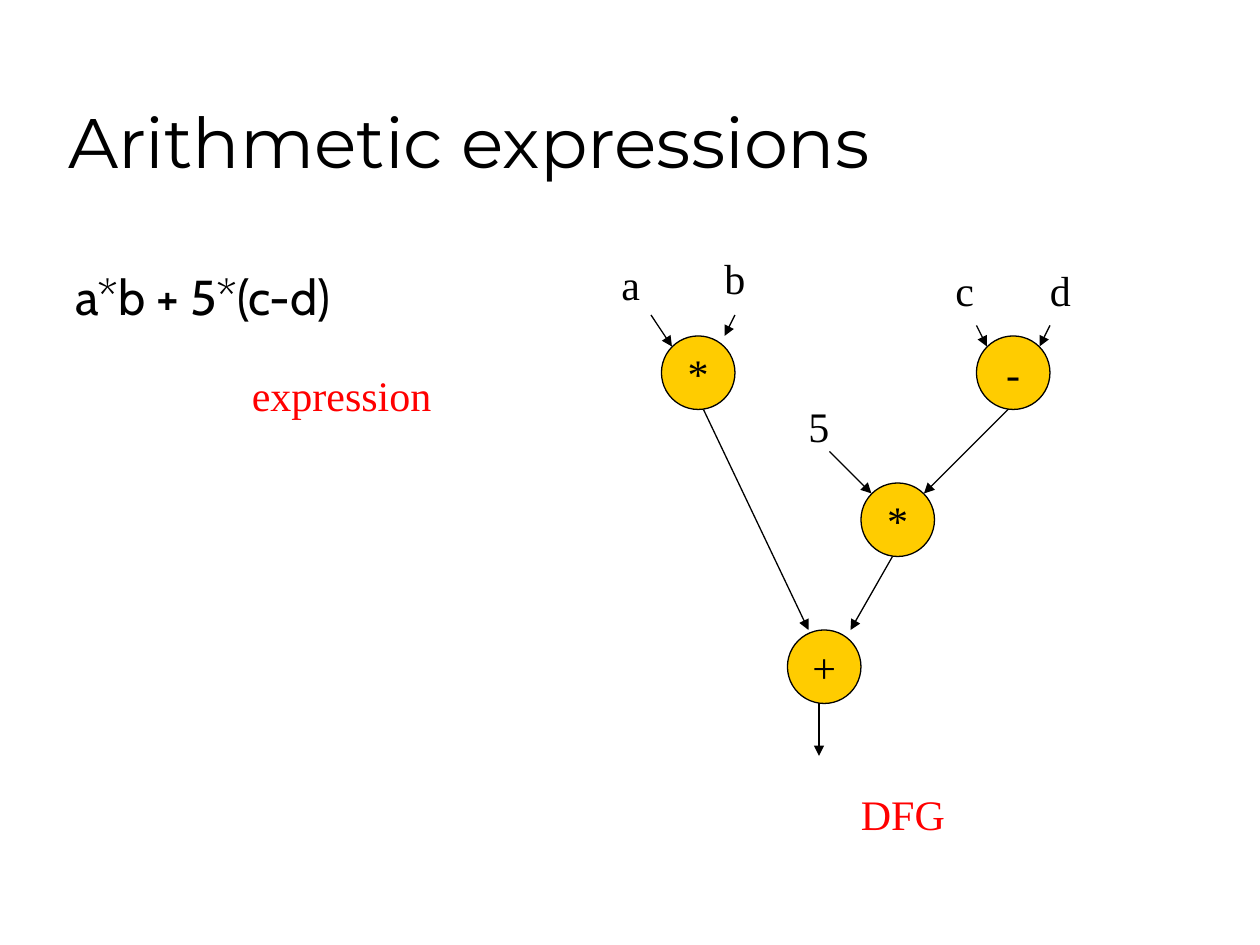
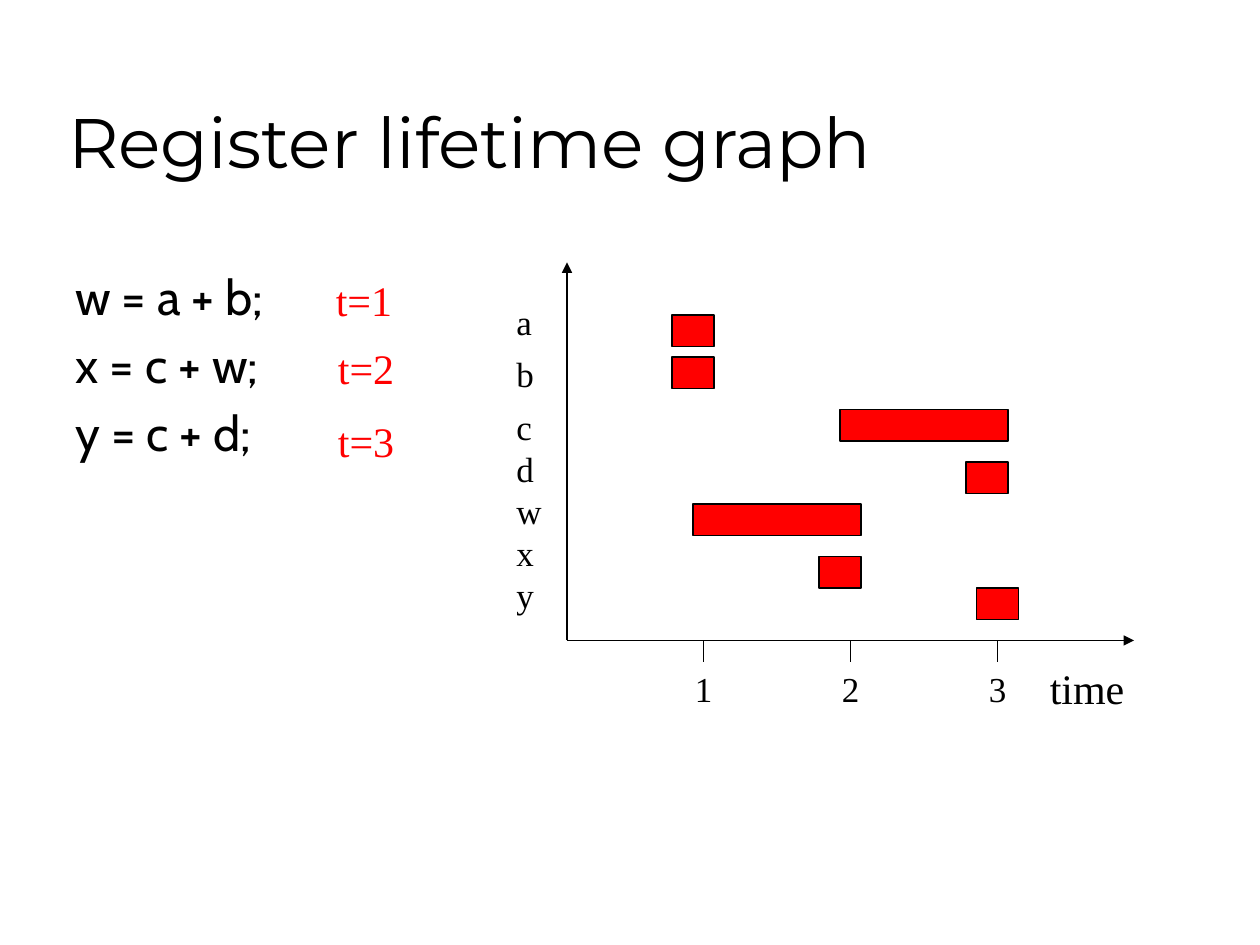
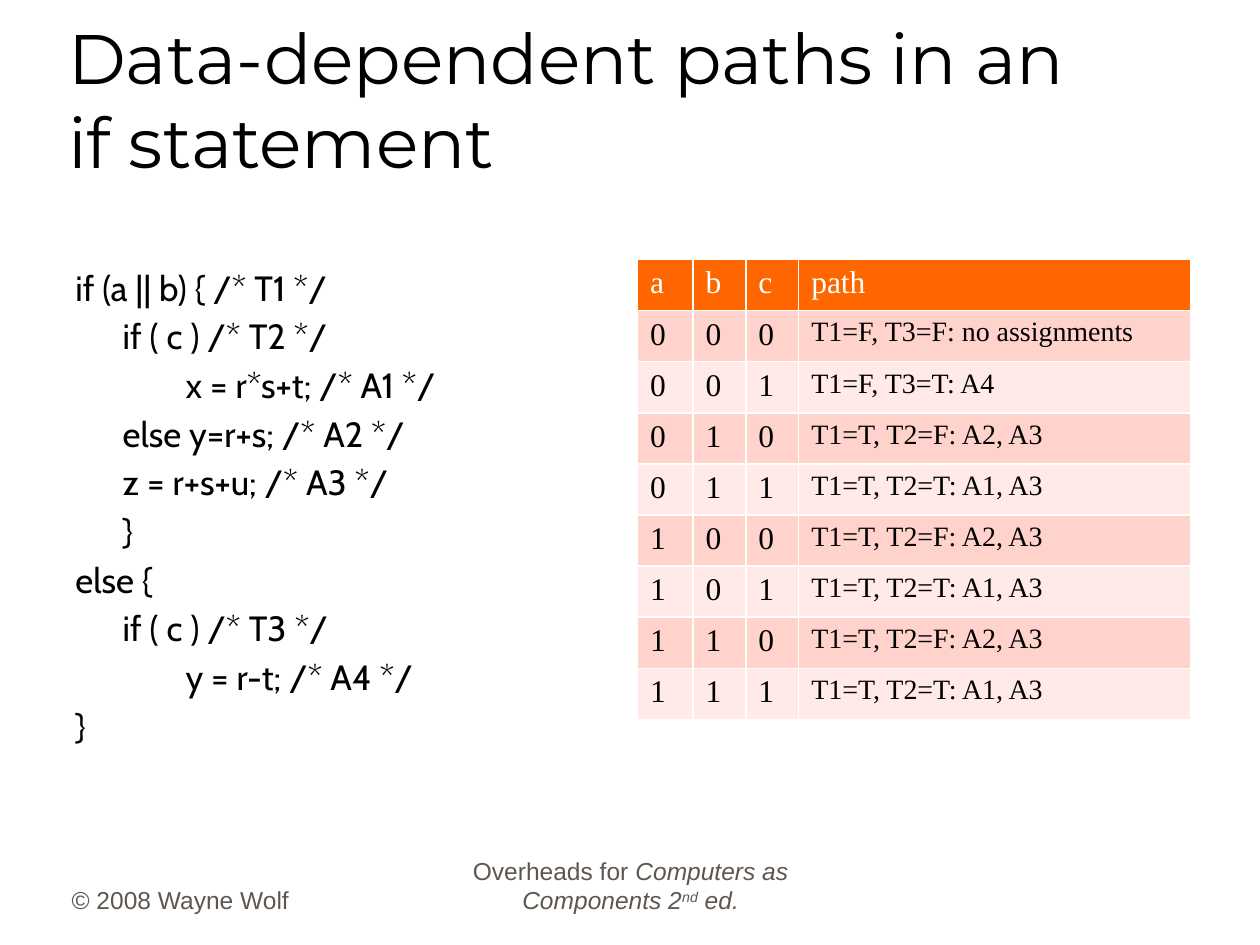
"""Build three slides on data flow, register lifetimes and data-dependent paths."""
from dataclasses import dataclass

from lxml import etree
from pptx import Presentation
from pptx import util as u
from pptx.dml.color import RGBColor
from pptx.enum import shapes, text
from pptx.oxml import ns


@dataclass(frozen=True)
class Theme:
    ink: str = "000000"
    accent: str = "FF0000"
    node: str = "FFCC00"
    header: str = "FF6600"
    bands: tuple = ("FFEAE7", "FFD3CC")
    paper: str = "FFFFFF"
    footer: str = "5E574E"
    title_font: str = "Montserrat"
    code_font: str = "Cabin"
    label_font: str = "Times New Roman"
    footer_font: str = "Arial"
    title_size: int = 40
    label_size: int = 24
    small_size: int = 20
    cell_size: int = 18
    path_size: int = 16
    footer_size: int = 14
    line: float = 0.75


theme = Theme()
deck = Presentation()
deck.slide_width, deck.slide_height = u.Inches(10), u.Inches(7.5)
CELL = deck.slide_width / 120


def write(frame, words, font, size, color, align=text.PP_ALIGN.LEFT):
    frame.text = words
    for paragraph in frame.paragraphs:
        paragraph.alignment = align
        for run in paragraph.runs:
            run.font.name, run.font.size = font, u.Pt(size)
            run.font.color.rgb = RGBColor.from_string(color)


def draw_line(slide, start, end, arrow=True):
    points = [round(value * CELL) for value in (*start, *end)]
    line = slide.shapes.add_connector(shapes.MSO_CONNECTOR.STRAIGHT, *points)
    line.line.color.rgb = RGBColor.from_string(theme.ink)
    line.line.width = u.Pt(theme.line)
    if arrow:
        etree.SubElement(line.line._get_or_add_ln(), ns.qn("a:tailEnd"), type="triangle")
    etree.SubElement(line._element.spPr, ns.qn("a:effectLst"))


IF_CODE = """if (a || b) { /* T1 */
\tif ( c ) /* T2 */
\t\tx = r*s+t; /* A1 */
\telse y=r+s; /* A2 */
\tz = r+s+u; /* A3 */
\t}
else {
\tif ( c ) /* T3 */
\t\ty = r-t; /* A4 */
}"""
topics = [
    ("Arithmetic expressions", "a*b + 5*(c-d)", 28, 7.2),
    ("Register lifetime graph", "w = a + b;\nx = c + w;\ny = c + d;", 28, 54.7),
    ("Data-dependent paths in an if statement", IF_CODE, 20, 54.7),
]
for heading, code, size, height in topics:
    slide = deck.slides.add_slide(deck.slide_layouts[5])
    title = slide.shapes.title
    title.left, title.top, title.width, title.height = map(u.Inches, (0.44, 0.25, 8.5, 1.25))
    write(title.text_frame, heading, theme.title_font, theme.title_size, theme.ink)
    title.text_frame.vertical_anchor = text.MSO_ANCHOR.BOTTOM
    title.text_frame.auto_size = text.MSO_AUTO_SIZE.NONE

    listing = slide.shapes.add_textbox(
        *[round(value * CELL) for value in (6, 24.75, 52.7, height)]).text_frame
    listing.word_wrap = True
    write(listing, code, theme.code_font, size, theme.ink)
    for number, paragraph in enumerate(listing.paragraphs):
        indent = u.Inches(0.375)
        properties = paragraph._p.get_or_add_pPr()
        properties.set("marL", str(indent))
        properties.set("indent", str(-indent))
        if number:
            paragraph.space_before = u.Pt(round(0.19 * size, 1))

flow, lifetimes, paths = deck.slides

for operator, column, row in [("*", 63, 32), ("-", 93, 32), ("*", 82, 46), ("+", 75, 60)]:
    node = flow.shapes.add_shape(
        shapes.MSO_SHAPE.OVAL, *[round(value * CELL) for value in (column, row, 7, 7)])
    node.shadow.inherit = False
    node.fill.solid()
    node.fill.fore_color.rgb = RGBColor.from_string(theme.node)
    node.line.color.rgb = RGBColor.from_string(theme.ink)
    node.line.width = u.Pt(theme.line)
    write(node.text_frame, operator, theme.label_font, theme.label_size, theme.ink,
          text.PP_ALIGN.CENTER)
    node.text_frame.word_wrap = False
    node.text_frame.vertical_anchor = text.MSO_ANCHOR.MIDDLE

for start, end in [
    ((62, 30), (64, 33)), ((70, 30), (69, 32)), ((93, 31), (94, 33)),
    ((100, 31), (99, 33)), ((67, 39), (77, 60)), ((78, 67), (78, 72)),
    ((96, 39), (88, 47)), ((79, 43), (83, 47)), ((85, 53), (81, 60)),
]:
    draw_line(flow, start, end)

ORIGIN = (54, 61)
draw_line(lifetimes, ORIGIN, (108, 61))
draw_line(lifetimes, ORIGIN, (54, 25))

large, small = theme.label_size, theme.small_size
labels = [
    (flow, "expression", 22.8, 34.6, 19.6, large, theme.accent),
    (flow, "DFG", 80.8, 74.5, 10.4, large, theme.accent),
    (flow, "a", 58, 24, 4.2, large, theme.ink),
    (flow, "b", 67.8, 23.5, 4.4, large, theme.ink),
    (flow, "c", 89.8, 24.6, 4.2, large, theme.ink),
    (flow, "d", 98.8, 24.6, 4.4, large, theme.ink),
    (flow, "5", 75.8, 37.6, 4.4, large, theme.ink),
    (lifetimes, "time", 98.8, 62.5, 9.5, large, theme.ink),
    (lifetimes, "t=1", 30.8, 25.6, 7.8, large, theme.accent),
    (lifetimes, "t=2", 31, 32, 7.8, large, theme.accent),
    (lifetimes, "t=3", 31, 39, 7.8, large, theme.accent),
]

for register, label_row, label_width, bar_column, bar_row, bar_width in [
    ("a", 28, 3.8, 64, 30, 4), ("b", 33, 4.1, 64, 34, 4), ("c", 38, 3.8, 80, 39, 16),
    ("d", 42, 4.1, 92, 44, 4), ("w", 46, 4.8, 66, 48, 16), ("x", 50, 4.1, 78, 53, 4),
    ("y", 54, 4.1, 93, 56, 4),
]:
    labels.append((lifetimes, register, 48, label_row, label_width, small, theme.ink))
    lifetime = lifetimes.shapes.add_shape(
        shapes.MSO_SHAPE.RECTANGLE,
        *[round(value * CELL) for value in (bar_column, bar_row, bar_width, 3)])
    lifetime.shadow.inherit = False
    lifetime.fill.solid()
    lifetime.fill.fore_color.rgb = RGBColor.from_string(theme.accent)
    lifetime.line.color.rgb = RGBColor.from_string(theme.ink)
    lifetime.line.width = u.Pt(theme.line)

for step in (1, 2, 3):
    column = 53 + 14 * step
    draw_line(lifetimes, (column, 61), (column, 63), arrow=False)
    labels.append((lifetimes, str(step), column - 2, 63, 4.1, small, theme.ink))

for slide, words, column, row, width, size, color in labels:
    height = size / 4
    label = slide.shapes.add_textbox(
        *[round(value * CELL) for value in (column, row, width, height)]).text_frame
    label.word_wrap = False
    write(label, words, theme.label_font, size, color)

outcomes = ["T1=F, T3=F: no assignments", "T1=F, T3=T: A4"]
outcomes += ["T1=T, T2=F: A2, A3", "T1=T, T2=T: A1, A3"] * 3
rows = [("a", "b", "c", "path")]
rows += [(*f"{case:03b}", outcome) for case, outcome in enumerate(outcomes)]
table = paths.shapes.add_table(
    len(rows), 4, *map(u.Inches, (5.06, 2.06, 4.39, 3.65))).table
for column, width in zip(table.columns, (0.44, 0.42, 0.42, 3.11)):
    column.width = u.Inches(width)
for r, row in enumerate(rows):
    for c, words in enumerate(row):
        cell = table.cell(r, c)
        for side in ("lnL", "lnR", "lnT", "lnB"):
            border = etree.SubElement(
                cell._tc.get_or_add_tcPr(), ns.qn(f"a:{side}"), w=str(u.Pt(1)))
            paint = etree.SubElement(border, ns.qn("a:solidFill"))
            etree.SubElement(paint, ns.qn("a:srgbClr"), val=theme.paper)
        cell.fill.solid()
        cell.fill.fore_color.rgb = RGBColor.from_string(theme.bands[r % 2] if r else theme.header)
        write(cell.text_frame, words, theme.label_font,
              theme.path_size if r and c == 3 else theme.cell_size,
              theme.ink if r else theme.paper)

for words, left, width, align in [
    ("© 2008 Wayne Wolf", 0.47, 2.08, text.PP_ALIGN.LEFT),
    ("Overheads for ", 3.42, 3.17, text.PP_ALIGN.CENTER),
]:
    footer = paths.shapes.add_textbox(*map(u.Inches, (left, 6.81, width, 0.5))).text_frame
    footer.word_wrap = True
    footer.vertical_anchor = text.MSO_ANCHOR.BOTTOM
    write(footer, words, theme.footer_font, theme.footer_size, theme.footer, align)

for words, baseline in [("Computers as Components 2", 0), ("nd", 30000), (" ed.", 0)]:
    run = footer.paragraphs[0].add_run()
    run.text = words
    run.font.name, run.font.size = theme.footer_font, u.Pt(theme.footer_size)
    run.font.italic = True
    run.font.color.rgb = RGBColor.from_string(theme.footer)
    if baseline:
        run._r.get_or_add_rPr().set("baseline", str(baseline))

deck.save("out.pptx")
